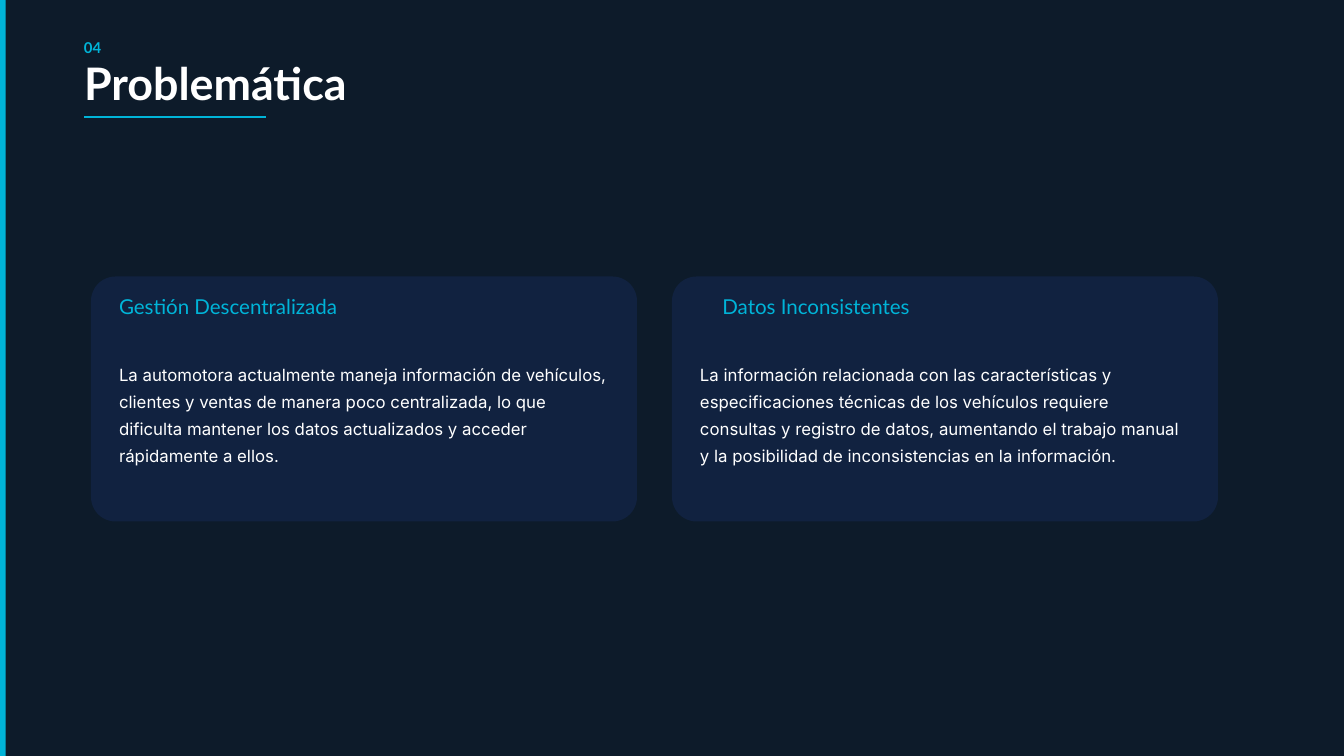
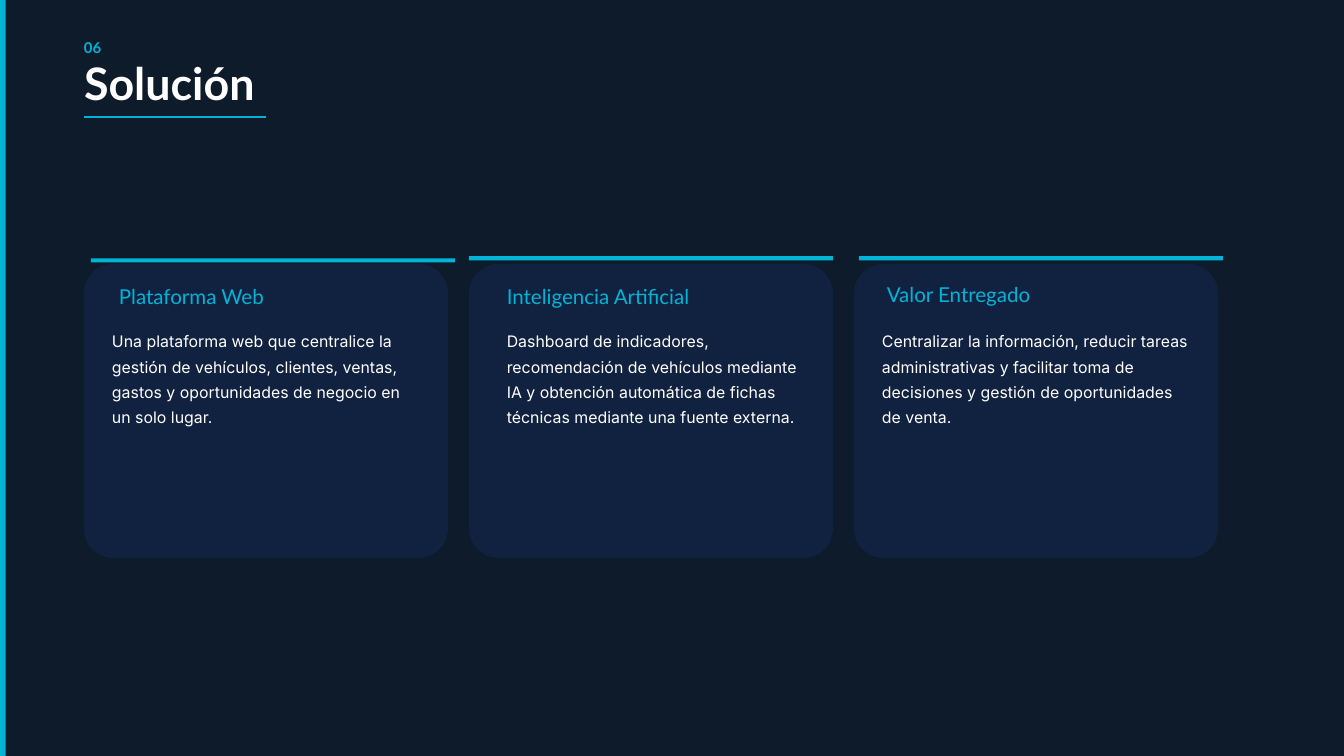
from dataclasses import dataclass

from lxml.etree import SubElement
from pptx import Presentation
from pptx.dml.color import RGBColor
from pptx.enum.shapes import MSO_CONNECTOR, MSO_SHAPE
from pptx.enum.text import MSO_AUTO_SIZE
from pptx.oxml.ns import qn
from pptx.slide import Slide
from pptx.util import Inches, Pt

COLS, ROWS = 192, 108
SLIDE_W, SLIDE_H = Inches(20), Inches(11.25)


@dataclass(frozen=True)
class TextStyle:
    font: str
    size: int
    leading: float
    color: RGBColor
    bold: bool = False


@dataclass(frozen=True)
class Theme:
    background: RGBColor = RGBColor.from_string("0D1B2A")
    accent: RGBColor = RGBColor.from_string("00B4D8")
    panel: RGBColor = RGBColor.from_string("112240")
    white: RGBColor = RGBColor.from_string("FFFFFF")
    rule_width: float = 2.25
    corner: float = 0.1

    @property
    def number(self) -> TextStyle:
        return TextStyle("Lato", 16, 19.2, self.accent, True)

    @property
    def title(self) -> TextStyle:
        return TextStyle("Lato", 48, 52.8, self.white, True)

    @property
    def heading(self) -> TextStyle:
        return TextStyle("Lato", 22, 26.4, self.accent)

    def body(self, size: int) -> TextStyle:
        return TextStyle("Inter", size, size * 1.6, self.white)


THEME = Theme()


@dataclass(frozen=True)
class Box:
    """A place on the grid, in columns and rows."""
    x: float
    y: float
    w: float
    h: float


@dataclass(frozen=True)
class Bar:
    dx: float
    y: float


@dataclass(frozen=True)
class Card:
    """Texts of a card; dx values are columns from the card's left edge."""
    heading: str
    body: str
    heading_dx: float
    heading_y: float
    body_dx: float = 4
    bar: Bar | None = None


@dataclass(frozen=True)
class CardRow:
    first: Box
    pitch: float
    text_w: float
    body_y: float
    body_h: float
    body_size: int
    cards: tuple[Card, ...]


@dataclass(frozen=True)
class Section:
    number: str
    title: str
    row: CardRow


SECTIONS = (
    Section("04", "Problemática", CardRow(
        Box(13, 39.5, 78, 35), pitch=83, text_w=70, body_y=51.2, body_h=15, body_size=18,
        cards=(
            Card("Gestión Descentralizada",
                 "La automotora actualmente maneja información de vehículos, clientes y ventas "
                 "de manera poco centralizada, lo que dificulta mantener los datos actualizados "
                 "y acceder rápidamente a ellos.", 4, 42),
            Card("Datos Inconsistentes",
                 "La información relacionada con las características y especificaciones técnicas "
                 "de los vehículos requiere consultas y registro de datos, aumentando el trabajo "
                 "manual y la posibilidad de inconsistencias en la información.", 7.2, 42),
        ))),
    Section("06", "Solución", CardRow(
        Box(12, 37.7, 52, 42), pitch=55, text_w=44, body_y=46.5, body_h=14.3, body_size=17,
        cards=(
            Card("Plataforma Web",
                 "Una plataforma web que centralice la gestión de vehículos, clientes, ventas, "
                 "gastos y oportunidades de negocio en un solo lugar.",
                 5, 40.5, bar=Bar(1, 36.9)),
            Card("Inteligencia Artificial",
                 "Dashboard de indicadores, recomendación de vehículos mediante IA y obtención "
                 "automática de fichas técnicas mediante una fuente externa.",
                 5.4, 40.5, body_dx=5.4, bar=Bar(0, 36.6)),
            Card("Valor Entregado",
                 "Centralizar la información, reducir tareas administrativas y facilitar toma de "
                 "decisiones y gestión de oportunidades de venta.",
                 4.7, 40.3, bar=Bar(0.7, 36.6)),
        ))),
)


def col(n: float) -> int:
    return round(SLIDE_W * n / COLS)


def row(n: float) -> int:
    return round(SLIDE_H * n / ROWS)


def place(box: Box) -> tuple[int, int, int, int]:
    return col(box.x), row(box.y), col(box.w), row(box.h)


def add_block(s: Slide, box: Box, color: RGBColor, rounded: bool = False) -> None:
    kind = MSO_SHAPE.ROUNDED_RECTANGLE if rounded else MSO_SHAPE.RECTANGLE
    sp = s.shapes.add_shape(kind, *place(box))
    if rounded:
        sp.adjustments[0] = THEME.corner
    sp.shadow.inherit = False
    sp.fill.solid()
    sp.fill.fore_color.rgb = color
    sp.line.fill.background()


def add_text(s: Slide, box: Box, text: str, style: TextStyle) -> None:
    tf = s.shapes.add_textbox(*place(box)).text_frame
    tf.margin_left = tf.margin_top = tf.margin_right = tf.margin_bottom = 0
    tf.word_wrap = True
    tf.auto_size = MSO_AUTO_SIZE.SHAPE_TO_FIT_TEXT
    p = tf.paragraphs[0]
    p.text = text
    p.line_spacing = Pt(style.leading)
    p.font.name = style.font
    p.font.size = Pt(style.size)
    p.font.bold = style.bold
    p.font.color.rgb = style.color


def add_rule(s: Slide, x1: float, x2: float, y: float) -> None:
    line = s.shapes.add_connector(MSO_CONNECTOR.STRAIGHT, col(x1), row(y), col(x2), row(y))
    line.line.color.rgb = THEME.accent
    line.line.width = Pt(THEME.rule_width)
    SubElement(line._element.spPr, qn("a:effectLst"))


def add_frame(s: Slide, section: Section) -> None:
    """Draw what every slide shares: background, edge band and title."""
    s.background.fill.solid()
    s.background.fill.fore_color.rgb = THEME.background
    add_block(s, Box(0, 0, 0.8, ROWS), THEME.accent)
    add_text(s, Box(12, 5.5, 10, 3), section.number, THEME.number)
    add_text(s, Box(12, 8.6, 80, 8.1), section.title, THEME.title)
    add_rule(s, 12, 38, 16.7)


def add_cards(s: Slide, cards: CardRow) -> None:
    first = cards.first
    for i, card in enumerate(cards.cards):
        x = first.x + i * cards.pitch
        add_block(s, Box(x, first.y, first.w, first.h), THEME.panel, rounded=True)
        if card.bar:
            add_block(s, Box(x + card.bar.dx, card.bar.y, first.w, 0.6), THEME.accent)
        add_text(s, Box(x + card.heading_dx, card.heading_y, cards.text_w, 4),
                 card.heading, THEME.heading)
        add_text(s, Box(x + card.body_dx, cards.body_y, cards.text_w, cards.body_h),
                 card.body, THEME.body(cards.body_size))


def main() -> None:
    prs = Presentation()
    prs.slide_width, prs.slide_height = SLIDE_W, SLIDE_H
    for section in SECTIONS:
        s = prs.slides.add_slide(prs.slide_layouts[6])
        add_frame(s, section)
        add_cards(s, section.row)
    prs.save("out.pptx")


if __name__ == "__main__":
    main()
